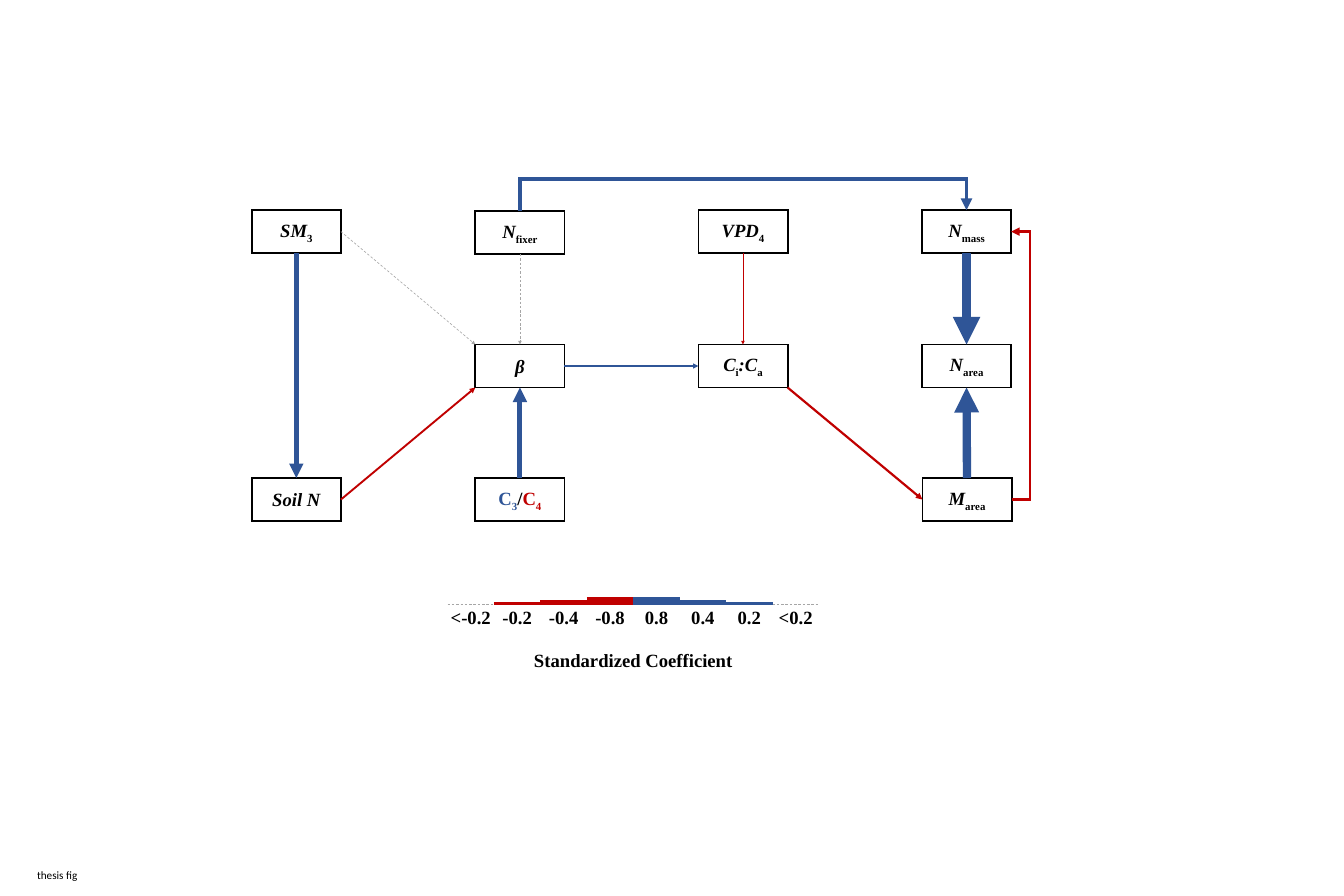
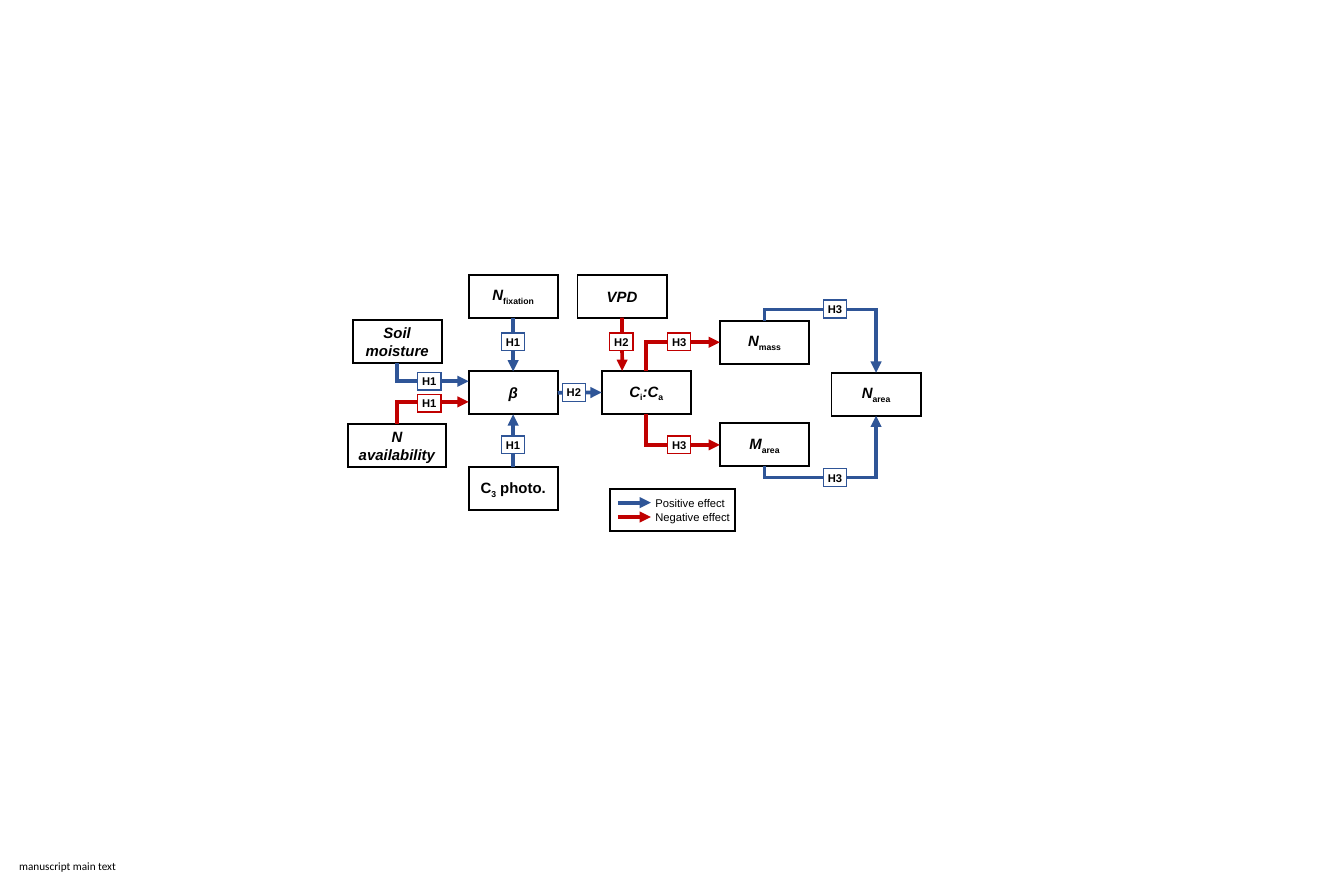
from dataclasses import dataclass

from lxml import etree
from pptx import Presentation
from pptx.dml.color import RGBColor
from pptx.enum.dml import MSO_LINE
from pptx.enum.shapes import MSO_CONNECTOR, MSO_SHAPE
from pptx.enum.text import MSO_ANCHOR, PP_ALIGN
from pptx.oxml.ns import qn
from pptx.util import Inches, Pt

RECTANGLE = MSO_SHAPE.RECTANGLE
STRAIGHT = MSO_CONNECTOR.STRAIGHT
ELBOW = MSO_CONNECTOR.ELBOW
DASH = MSO_LINE.DASH
MIDDLE = MSO_ANCHOR.MIDDLE
CENTER = PP_ALIGN.CENTER
LEFT_ALIGN = PP_ALIGN.LEFT

TOP, LEFT, BOTTOM, RIGHT = (0.5, 0), (0, 0.5), (0.5, 1), (1, 0.5)
TOP_LEFT, BOTTOM_LEFT, BOTTOM_RIGHT = (0, 0), (0, 1), (1, 1)
GLUE_SITES = {TOP: 0, LEFT: 1, BOTTOM: 2, RIGHT: 3}


@dataclass(frozen=True)
class Theme:
    """Colours, fonts, type sizes and line widths of the deck."""
    positive: RGBColor = RGBColor(0x2F, 0x55, 0x97)
    negative: RGBColor = RGBColor(0xC0, 0x00, 0x00)
    neutral: RGBColor = RGBColor(0xA6, 0xA6, 0xA6)
    ink: RGBColor = RGBColor(0, 0, 0)
    paper: RGBColor = RGBColor(255, 255, 255)
    serif: str = "Times New Roman"
    sans: str = "Arial"
    caption: str = "Calibri"
    large: int = 30
    medium: int = 24
    small: int = 18
    frame: float = 3
    tag_frame: float = 2.25
    arrow: float = 6
    node_width: float = 1.99
    node_height: float = 0.96


THEME = Theme()


@dataclass(frozen=True)
class Box:
    """A rectangle in inches."""
    left: float
    top: float
    width: float = THEME.node_width
    height: float = THEME.node_height

    def inside(self, left, top, width=THEME.node_width, height=THEME.node_height):
        """Return a box offset from this one."""
        return Box(self.left + left, self.top + top, width, height)

    def site(self, place):
        """Return the point at fractions of the width and height."""
        return self.left + self.width * place[0], self.top + self.height * place[1]

    def lengths(self):
        """Return the four lengths for a new shape."""
        return [Inches(value) for value in (self.left, self.top, self.width, self.height)]


@dataclass(frozen=True)
class Node:
    """A drawn box with its place."""
    box: Box
    shape: object


def style_span(span, font, size, color=THEME.ink, bold=False, italic=False):
    """Format one run."""
    span.font.name = font
    span.font.size = Pt(size)
    span.font.color.rgb = color
    span.font.bold = bold
    span.font.italic = italic


def sharpen(shape):
    """Give an outline mitred corners and return it."""
    outline = shape.line._get_or_add_ln()
    etree.SubElement(outline, qn("a:miter"), lim="800000")
    return outline


def add_frame(page, box, color, width, filled=True):
    """Draw an outlined rectangle."""
    shape = page.shapes.add_shape(RECTANGLE, *box.lengths())
    shape.shadow.inherit = False
    if filled:
        shape.fill.solid()
        shape.fill.fore_color.rgb = THEME.paper
    else:
        shape.fill.background()
    shape.line.color.rgb = color
    shape.line.width = Pt(width)
    sharpen(shape)
    return shape


def add_label(page, box, text, font, size, bold=False, align=LEFT_ALIGN):
    """Place one line of text."""
    frame = page.shapes.add_textbox(*box.lengths()).text_frame
    frame.word_wrap = False
    para = frame.paragraphs[0]
    para.text = text
    para.alignment = align
    style_span(para.runs[0], font, size, bold=bold)


def add_node(page, box, texts, font, size, italic=True, colors=None):
    """Draw a variable box; a text led by an underscore is a subscript."""
    shape = add_frame(page, box, THEME.ink, THEME.frame)
    frame = shape.text_frame
    frame.word_wrap = True
    frame.vertical_anchor = MIDDLE
    para = frame.paragraphs[0]
    para.alignment = CENTER
    for text, color in zip(texts, colors or [THEME.ink] * len(texts)):
        subscript = text.startswith("_")
        span = para.add_run()
        span.text = text.lstrip("_")
        style_span(span, font, size, color, True, italic and not subscript)
        if subscript:
            span.font._element.set("baseline", "-25000")
    return Node(box, shape)


def add_tag(page, center, text, color):
    """Draw a small hypothesis tag around a centre point."""
    width, height = 0.52, 0.4
    box = Box(center[0] - width / 2, center[1] - height / 2, width, height)
    frame = add_frame(page, box, color, THEME.tag_frame).text_frame
    frame.word_wrap = False
    frame.vertical_anchor = MIDDLE
    para = frame.paragraphs[0]
    para.text = text
    para.alignment = CENTER
    style_span(para.runs[0], THEME.sans, THEME.small, bold=True)


def add_line(page, start, end, color, width, kind=STRAIGHT):
    """Draw a connector between two points."""
    line = page.shapes.add_connector(kind, *(Inches(value) for value in (*start, *end)))
    line.line.color.rgb = color
    line.line.width = Pt(width)
    if color == THEME.neutral:
        line.line.dash_style = DASH
    etree.SubElement(line.element.spPr, qn("a:effectLst"))
    return line


def add_head(line):
    """Give a connector sharp corners and a triangular end."""
    etree.SubElement(sharpen(line), qn("a:tailEnd"), type="triangle")


def glue(line, source, leave, target, enter):
    """Attach the ends that meet the middle of a side."""
    if leave in GLUE_SITES:
        line.begin_connect(source.shape, GLUE_SITES[leave])
    if enter in GLUE_SITES:
        line.end_connect(target.shape, GLUE_SITES[enter])


def add_arrow(page, source, leave, target, enter, color, width=THEME.arrow):
    """Draw a straight arrow between two nodes."""
    line = add_line(page, source.box.site(leave), target.box.site(enter), color, width)
    add_head(line)
    glue(line, source, leave, target, enter)


def add_elbow(page, source, leave, target, enter, color, width=THEME.arrow, lane=None):
    """Draw a bent arrow; lane is the signed length of its first leg."""
    start, end = source.box.site(leave), target.box.site(enter)
    line = add_line(page, start, end, color, width, ELBOW)
    add_head(line)
    glue(line, source, leave, target, enter)
    across, down = end[0] - start[0], end[1] - start[1]
    vertical = leave in (TOP, BOTTOM)
    if vertical:
        reach = abs(down)
        line.left = Inches((start[0] + end[0] - reach) / 2)
        line.top = Inches((start[1] + end[1] - across) / 2)
        line.width, line.height = Inches(reach), Inches(across)
        transform = line.element.spPr.find(qn("a:xfrm"))
        transform.set("rot", str((270 if down > 0 else 90) * 60000))
        transform.set("flipH", "1")
    geometry = line.element.spPr.find(qn("a:prstGeom"))
    if lane is None:
        geometry.set("prst", "bentConnector2")
    else:
        ratio = round(lane / (down if vertical else across) * 100000)
        guides = geometry.find(qn("a:avLst"))
        etree.SubElement(guides, qn("a:gd"), name="adj1", fmla=f"val {ratio}")


def coefficient_paths(page, area):
    """Draw the path diagram with weighted arrows."""
    columns = [0, 4.99, 9.97, 14.96]
    rows = [0, 3, 5.98]
    blue, red, grey = THEME.positive, THEME.negative, THEME.neutral

    def node(column, row, *texts, shift=(0, 0), **style):
        box = area.inside(columns[column] + shift[0], rows[row] + shift[1])
        return add_node(page, box, texts, THEME.serif, THEME.large, **style)

    moisture = node(0, 0, "SM", "_3")
    soil = node(0, 2, "Soil N")
    fixer = node(1, 0, "N", "_fixer", shift=(0, 0.02))
    beta = node(1, 1, "β")
    pathway = node(1, 2, "C", "_3", "/", "C", "_4", italic=False,
                   colors=[blue, blue, THEME.ink, red, red])
    deficit = node(2, 0, "VPD", "_4")
    ratio = node(2, 1, "C", "_i", ":C", "_a")
    mass = node(3, 0, "N", "_mass")
    leaf = node(3, 1, "Ν", "_area")
    marea = node(3, 2, "M", "_area", shift=(0.01, 0))

    for arrow in (
        (marea, TOP, leaf, BOTTOM, blue, 13.37),
        (mass, BOTTOM, leaf, TOP, blue, 14.75),
        (ratio, BOTTOM_RIGHT, marea, LEFT, red, 3.51),
        (beta, RIGHT, ratio, LEFT, blue, 2.88),
        (deficit, BOTTOM, ratio, TOP, red, 1.55),
        (soil, RIGHT, beta, BOTTOM_LEFT, red, 3.02),
        (pathway, TOP, beta, BOTTOM, blue, 7.82),
        (moisture, BOTTOM, soil, TOP, blue, 7.67),
        (moisture, RIGHT, beta, TOP_LEFT, grey, 1),
        (fixer, BOTTOM, beta, TOP, grey, 1),
    ):
        add_arrow(page, *arrow)
    add_elbow(page, marea, RIGHT, mass, RIGHT, red, 4.5, lane=0.42)
    add_elbow(page, fixer, TOP, mass, TOP, blue, 6.29, lane=-0.72)


def coefficient_scale(page, area):
    """Draw the line width scale, its values and its title."""
    blue, red, grey = THEME.positive, THEME.negative, THEME.neutral
    steps = [("<-0.2", grey, 1), ("-0.2", red, 3.75), ("-0.4", red, 7.5), ("-0.8", red, 12),
             ("0.8", blue, 12), ("0.4", blue, 7.5), ("0.2", blue, 3.75), ("<0.2", grey, 1)]
    step = area.width / len(steps)
    label_width = 1.4
    for index, (text, color, width) in enumerate(steps):
        left = area.left + index * step
        height = area.top - width / 144
        add_line(page, (left, height), (left + step, height), color, width)
        label = Box(left + (step - label_width) / 2, area.top - 0.03, label_width, 0.61)
        add_label(page, label, text, THEME.serif, THEME.large, True, CENTER)
    add_label(page, area.inside(0, 0.93, area.width, 0.61), "Standardized Coefficient",
              THEME.serif, THEME.large, True, CENTER)


def hypothesis_paths(page, area):
    """Draw the hypothesis diagram with tagged arrows."""
    blue, red = THEME.positive, THEME.negative

    def node(left, top, *texts, width=THEME.node_width, italic=True):
        box = area.inside(left, top, width)
        return add_node(page, box, texts, THEME.sans, THEME.medium, italic)

    moisture = node(0.11, 1.02, "Soil moisture")
    nitrogen = node(0, 3.33, "N availability", width=2.2)
    fixation = node(2.7, 0, "N", "_fixation")
    beta = node(2.7, 2.16, "β")
    pathway = node(2.7, 4.3, "C", "_3", " photo.", italic=False)
    deficit = node(5.13, 0, "VPD")
    ratio = node(5.67, 2.15, "C", "_i", ":C", "_a")
    mass = node(8.31, 1.03, "N", "_mass")
    marea = node(8.31, 3.32, "M", "_area")
    leaf = node(10.8, 2.19, "Ν", "_area")

    add_arrow(page, beta, RIGHT, ratio, LEFT, blue)
    add_arrow(page, deficit, BOTTOM, ratio, (0.23, 0), red)
    add_arrow(page, fixation, BOTTOM, beta, TOP, blue)
    add_arrow(page, pathway, TOP, beta, BOTTOM, blue)
    add_elbow(page, moisture, BOTTOM, beta, (0, 0.23), blue)
    add_elbow(page, nitrogen, TOP, beta, (0, 0.71), red)
    add_elbow(page, ratio, TOP, mass, LEFT, red)
    add_elbow(page, ratio, BOTTOM, marea, LEFT, red)
    add_elbow(page, mass, TOP, leaf, TOP, blue, lane=-0.25)
    add_elbow(page, marea, BOTTOM, leaf, BOTTOM, blue, lane=0.25)

    for left, top, text, color in (
        (1.82, 2.38, "H1", blue), (1.82, 2.87, "H1", red),
        (3.69, 1.5, "H1", blue), (3.69, 3.8, "H1", blue),
        (5.05, 2.63, "H2", blue), (6.11, 1.5, "H2", red),
        (7.4, 1.5, "H3", red), (7.4, 3.8, "H3", red),
        (10.88, 0.77, "H3", blue), (10.88, 4.53, "H3", blue),
    ):
        add_tag(page, (area.left + left, area.top + top), text, color)


def effect_key(page, area):
    """Draw the framed key of arrow colours."""
    add_frame(page, area, THEME.ink, THEME.frame, filled=False)
    effects = [("Positive effect", THEME.positive), ("Negative effect", THEME.negative)]
    for index, (text, color) in enumerate(effects):
        height = area.top + 0.3 + index * 0.32
        start = area.left + 0.18
        end = start + 0.74
        add_head(add_line(page, (start, height), (end, height), color, THEME.arrow))
        add_label(page, Box(end, height - 0.2, 1.88, 0.4), text, THEME.sans, THEME.small)


def add_page(deck, caption, place):
    """Add a blank page with its corner caption."""
    page = deck.slides.add_slide(deck.slide_layouts[6])
    add_label(page, place, caption, THEME.caption, THEME.small)
    return page


def build():
    """Build and save the deck."""
    deck = Presentation()
    deck.slide_width, deck.slide_height = Inches(30), Inches(20)
    thesis = add_page(deck, "thesis fig", Box(0.73, 19.33, 1.11, 0.4))
    coefficient_paths(thesis, Box(5.62, 4.69, 16.95, 6.94))
    coefficient_scale(thesis, Box(9.99, 13.5, 8.29, 1.54))
    manuscript = add_page(deck, "manuscript main text", Box(0.33, 19.14, 2.38, 0.4))
    hypothesis_paths(manuscript, Box(7.76, 6.13, 12.79, 5.26))
    effect_key(manuscript, Box(13.61, 10.92, 2.8, 0.93))
    deck.save("out.pptx")


build()
